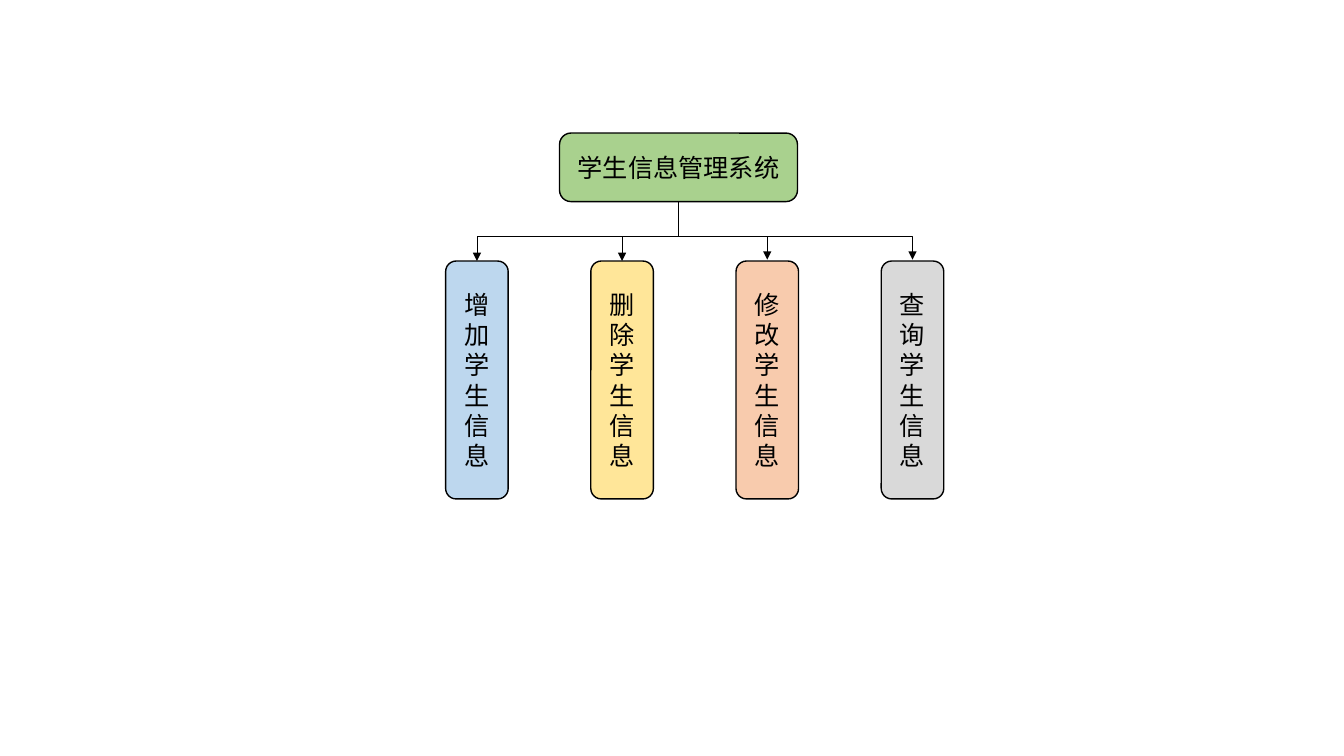
from pptx import Presentation
from pptx import util as u
from pptx.dml.color import RGBColor
from pptx.enum import shapes, text
from pptx.oxml.ns import qn
from lxml import etree

ROOT = "学生信息管理系统"
TASKS = [
    ("增加学生信息", "blue"),
    ("删除学生信息", "gold"),
    ("修改学生信息", "peach"),
    ("查询学生信息", "gray"),
]

THEME = {
    "font": "Noto Sans CJK SC", "size": 18,
    "edge": 1, "wire": 0.5, "ink": "000000",
    "green": "A9D18E", "blue": "BDD7EE", "gold": "FFE699",
    "peach": "F8CBAD", "gray": "D9D9D9",
}

# Inches: the root box, the first task box, the column pitch and the bus line
WIDE, HIGH = 13.33, 7.5
TOP = (5.55, 1.32, 2.36, 0.68)
LEFT, ROW, BOX_W, BOX_H = 4.42, 2.59, 0.62, 2.36
PITCH, RISE = 1.44, 0.25
BUS = ROW - RISE


def color(name):
    """Look up a theme colour."""
    return RGBColor.from_string(THEME[name])


def add_box(slide, words, fill, area):
    """Add a rounded box with centred text."""
    box = slide.shapes.add_shape(
        shapes.MSO_SHAPE.ROUNDED_RECTANGLE, *map(u.Inches, area))
    box.shadow.inherit = False
    box.fill.solid()
    box.fill.fore_color.rgb = color(fill)
    box.line.color.rgb = color("ink")
    box.line.width = u.Pt(THEME["edge"])
    frame = box.text_frame
    frame.word_wrap = True
    frame.vertical_anchor = text.MSO_ANCHOR.MIDDLE
    para = frame.paragraphs[0]
    para.alignment = text.PP_ALIGN.CENTER
    run = para.add_run()
    run.text = words
    run.font.size = u.Pt(THEME["size"])
    run.font.name = THEME["font"]
    run.font.color.rgb = color("ink")
    east = etree.SubElement(run.font._element, qn("a:ea"))
    east.set("typeface", THEME["font"])
    return box


def add_wire(slide, kind, start, end, tips=()):
    """Add a thin connector with arrowheads at the named tips."""
    wire = slide.shapes.add_connector(kind, *map(u.Inches, start + end))
    wire.line.color.rgb = color("ink")
    wire.line.width = u.Pt(THEME["wire"])
    for tip in tips:
        head = etree.SubElement(wire.line._get_or_add_ln(), qn(tip))
        head.set("type", "triangle")
    etree.SubElement(wire._element.spPr, qn("a:effectLst"))
    return wire


def add_bridge(slide, one, two):
    """Join the tops of two boxes by an elbow that rises to the bus."""
    wire = add_wire(slide, shapes.MSO_CONNECTOR.ELBOW, (0, 0), (0, 0),
                    ("a:headEnd", "a:tailEnd"))
    wire.begin_connect(one, 0)
    wire.end_connect(two, 0)

    # A quarter turn makes the elbow's thin width its vertical extent
    thin, span = u.Pt(1), two.left - one.left
    mid = one.left + (one.width + span) // 2
    wire.width, wire.height = thin, span
    wire.left = mid - thin // 2
    wire.top = one.top - (thin + span) // 2
    props = wire._element.spPr
    frame = props.find(qn("a:xfrm"))
    for key, value in (("rot", 90 * 60000), ("flipH", 1), ("flipV", 1)):
        frame.set(key, str(value))
    bend = etree.SubElement(
        props.find(qn("a:prstGeom")).find(qn("a:avLst")), qn("a:gd"))
    bend.set("name", "adj1")
    bend.set("fmla", f"val {round(u.Inches(RISE) / thin * 100000)}")


def build():
    """Draw the function tree and save it."""
    deck = Presentation()
    deck.slide_width, deck.slide_height = u.Inches(WIDE), u.Inches(HIGH)
    slide = deck.slides.add_slide(deck.slide_layouts[6])

    root = add_box(slide, ROOT, "green", TOP)
    boxes = [
        add_box(slide, words, fill, (LEFT + col * PITCH, ROW, BOX_W, BOX_H))
        for col, (words, fill) in enumerate(TASKS)
    ]
    for col in range(len(boxes) // 2):
        add_bridge(slide, boxes[col], boxes[-1 - col])

    hub = TOP[0] + TOP[2] / 2
    stem = add_wire(slide, shapes.MSO_CONNECTOR.STRAIGHT,
                    (hub, BUS), (hub, TOP[1] + TOP[3]))
    stem.end_connect(root, 2)
    deck.save("out.pptx")


build()
